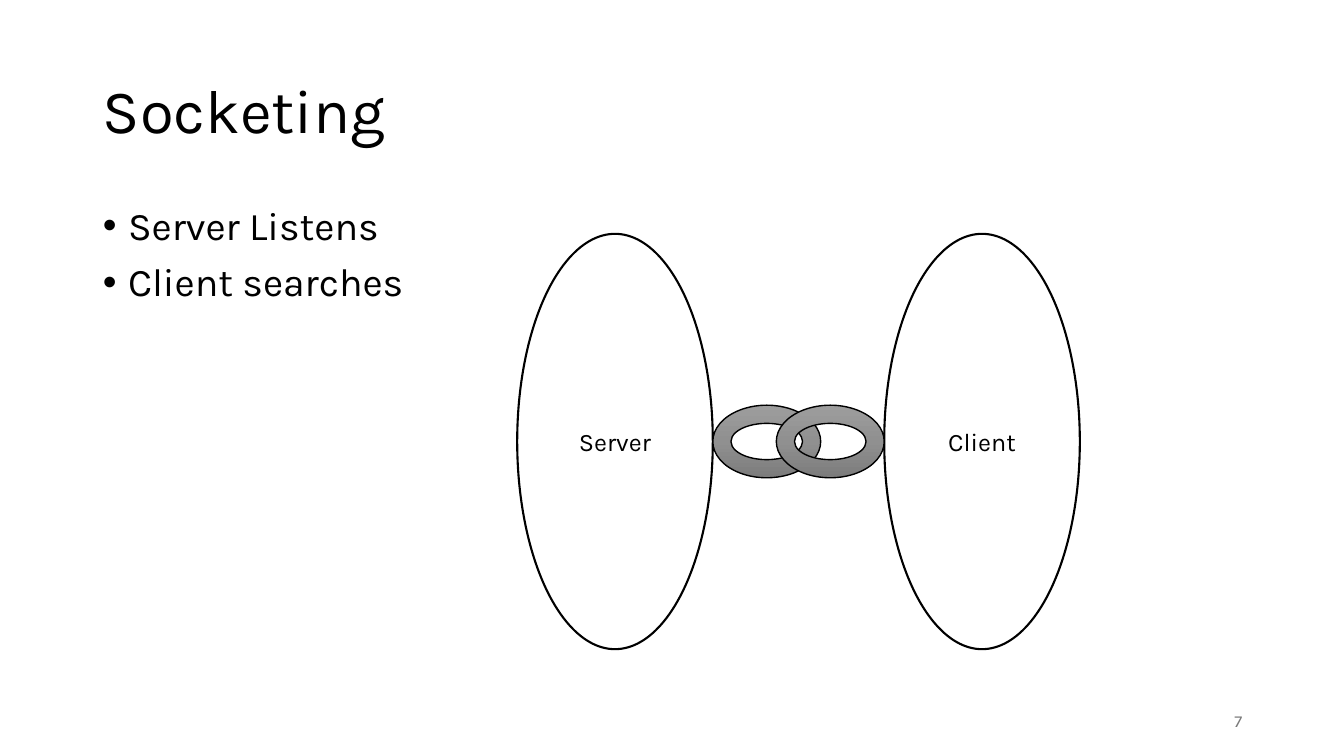
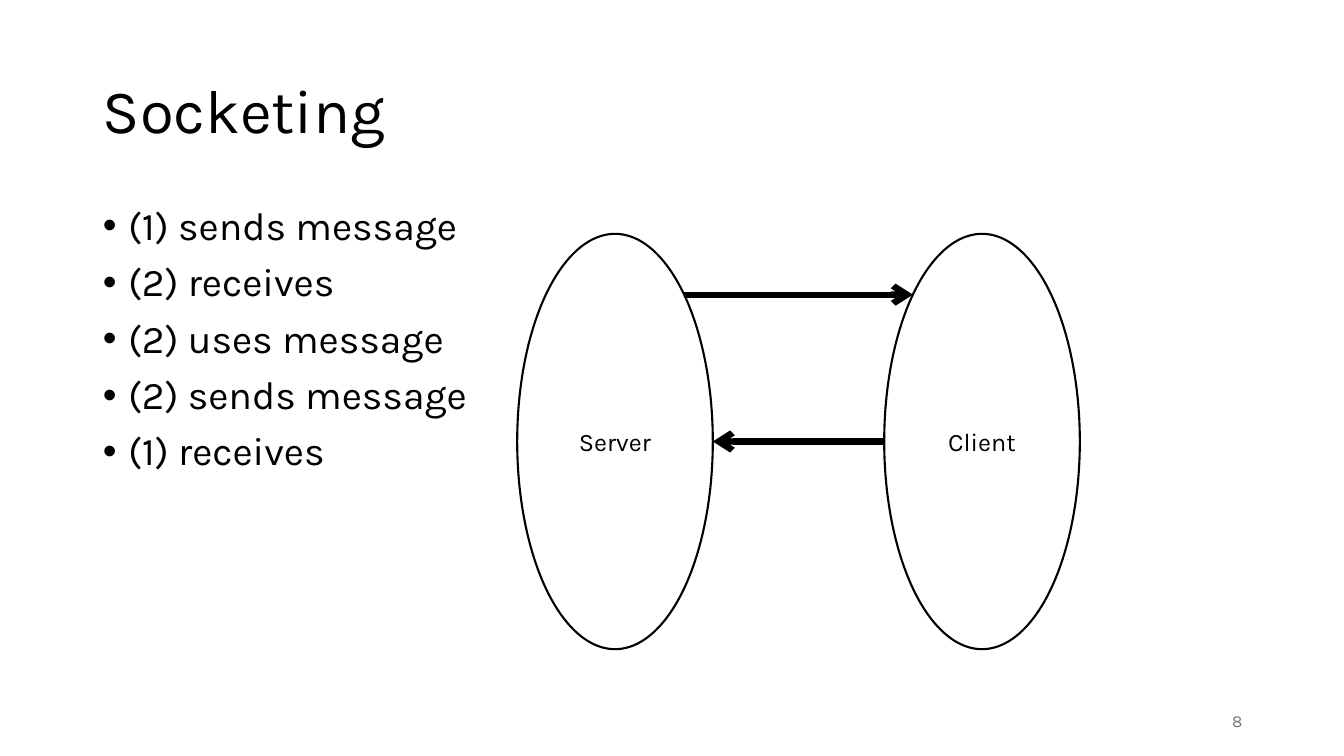
from copy import deepcopy
from dataclasses import dataclass
from math import cos, radians, sin

from lxml.etree import SubElement
from pptx import Presentation
from pptx.dml.color import RGBColor
from pptx.enum.shapes import MSO_CONNECTOR, MSO_SHAPE
from pptx.enum.text import MSO_ANCHOR, PP_ALIGN
from pptx.oxml.ns import qn
from pptx.util import Emu, Pt

PX = 9144  # EMU per px, 100 px to the inch


@dataclass(frozen=True)
class Theme:
    font: str = "Karla"
    ink: str = "000000"
    paper: str = "FFFFFF"
    muted: str = "797979"
    metal: tuple = ((0, "9D9D9D"), (0.5, "909090"), (1, "7C7C7C"))
    title_size: int = 44
    body_size: int = 28
    label_size: int = 18
    number_size: int = 12
    outline: float = 1.5
    link_outline: float = 1
    arrow_width: float = 4.5


def px(*lengths):
    return [Emu(round(length * PX)) for length in lengths]


def set_values(target, values):
    for name, value in values.items():
        setattr(target, name, value)


class Deck:
    """Holds the style and the slide being built."""

    def __init__(self, theme, width, height):
        self.theme = theme
        self.presentation = Presentation()
        size = px(width, height)
        set_values(self.presentation, {"slide_width": size[0], "slide_height": size[1]})
        self.slide = None

    def new_slide(self):
        layout = self.presentation.slide_layouts[1]
        self.slide = self.presentation.slides.add_slide(layout)

    def set_text(self, shape, lines, size, color=None, anchor=MSO_ANCHOR.MIDDLE,
                 **paragraph_format):
        frame = shape.text_frame
        frame.text = "\n".join(lines)
        set_values(frame, {"word_wrap": True, "vertical_anchor": anchor})
        for paragraph in frame.paragraphs:
            set_values(paragraph, paragraph_format)
            font = paragraph.runs[0].font
            set_values(font, {"name": self.theme.font, "size": Pt(size)})
            font.color.rgb = RGBColor.from_string(color or self.theme.ink)

    def place(self, shape, *box):
        set_values(shape, dict(zip(("left", "top", "width", "height"), px(*box))))

    def outline(self, line, width):
        line.color.rgb = RGBColor.from_string(self.theme.ink)
        line.width = Pt(width)

    def title(self, text):
        shape = self.slide.shapes.title
        self.place(shape, 92, 40, 1150, 145)
        self.set_text(shape, [text], self.theme.title_size,
                      alignment=PP_ALIGN.LEFT, line_spacing=0.9)

    def bullets(self, lines):
        shape = self.slide.placeholders[1]
        self.place(shape, 92, 200, 1150, 476)
        self.set_text(shape, lines, self.theme.body_size, anchor=MSO_ANCHOR.TOP,
                      line_spacing=0.9, space_before=Pt(10))
        indent = px(25)[0]
        for paragraph in shape.text_frame.paragraphs:
            properties = paragraph._p.get_or_add_pPr()
            properties.set("marL", str(indent))
            properties.set("indent", str(-indent))
            SubElement(properties, qn("a:buFont"), typeface="Arial")
            SubElement(properties, qn("a:buChar"), char="•")

    def page_number(self, number):
        shape = self.slide.shapes.add_textbox(*px(942, 695, 300, 40))
        self.set_text(shape, [str(number)], self.theme.number_size, self.theme.muted,
                      alignment=PP_ALIGN.RIGHT)

    def shape(self, preset, box, line_width):
        shape = self.slide.shapes.add_shape(preset, *px(*box))
        shape.shadow.inherit = False
        self.outline(shape.line, line_width)
        return shape

    def node(self, text, *box):
        shape = self.shape(MSO_SHAPE.OVAL, box, self.theme.outline)
        shape.fill.solid()
        shape.fill.fore_color.rgb = RGBColor.from_string(self.theme.paper)
        self.set_text(shape, [text], self.theme.label_size, alignment=PP_ALIGN.CENTER)
        return shape

    def chain_link(self, *box):
        shape = self.shape(MSO_SHAPE.DONUT, box, self.theme.link_outline)
        fill = shape.fill
        fill.gradient()
        fill.gradient_angle = 270
        # The default gradient has two stops; add the middle one
        stops = shape.element.find(".//" + qn("a:gsLst"))
        stops.insert(1, deepcopy(stops[0]))
        for stop, (position, color) in zip(fill.gradient_stops, self.theme.metal):
            stop.position = position
            stop.color.rgb = RGBColor.from_string(color)

    @staticmethod
    def oval_site(oval, site):
        """Point of an oval's connection site: 0 is the top, then counterclockwise."""
        angle = radians(90 + 45 * site)
        return (Emu(round(oval.left + oval.width / 2 * (1 + cos(angle)))),
                Emu(round(oval.top + oval.height / 2 * (1 - sin(angle)))))

    def arrow(self, start, start_site, end, end_site):
        connector = self.slide.shapes.add_connector(
            MSO_CONNECTOR.STRAIGHT,
            *self.oval_site(start, start_site), *self.oval_site(end, end_site))
        self.outline(connector.line, self.theme.arrow_width)
        line = connector.element.find(".//" + qn("a:ln"))
        SubElement(line, qn("a:tailEnd"), type="arrow")
        SubElement(connector.element.spPr, qn("a:effectLst"))
        # Ovals have eight sites, so the joins are set in XML
        joins = connector.element.find(".//" + qn("p:cNvCxnSpPr"))
        for tag, oval, site in (("a:stCxn", start, start_site), ("a:endCxn", end, end_site)):
            SubElement(joins, qn(tag), id=str(oval.shape_id), idx=str(site))

    def socket_slide(self, number, lines):
        """Frame shared by the slides: title, list, page number and both nodes."""
        self.new_slide()
        self.title("Socketing")
        self.bullets(lines)
        self.page_number(number)
        return [self.node(text, left, 232, 194, 412)
                for text, left in (("Server", 513), ("Client", 877))]


def main():
    deck = Deck(Theme(), 1333, 750)

    # Linked server and client
    deck.socket_slide(7, ["Server Listens", "Client searches"])
    for left in (707, 770):
        deck.chain_link(left, 402, 107, 72)

    # Message exchange
    server, client = deck.socket_slide(8, [
        "(1) sends message", "(2) receives", "(2) uses message",
        "(2) sends message", "(1) receives"])
    deck.arrow(server, 7, client, 1)
    deck.arrow(client, 2, server, 6)

    deck.presentation.save("out.pptx")


if __name__ == "__main__":
    main()
